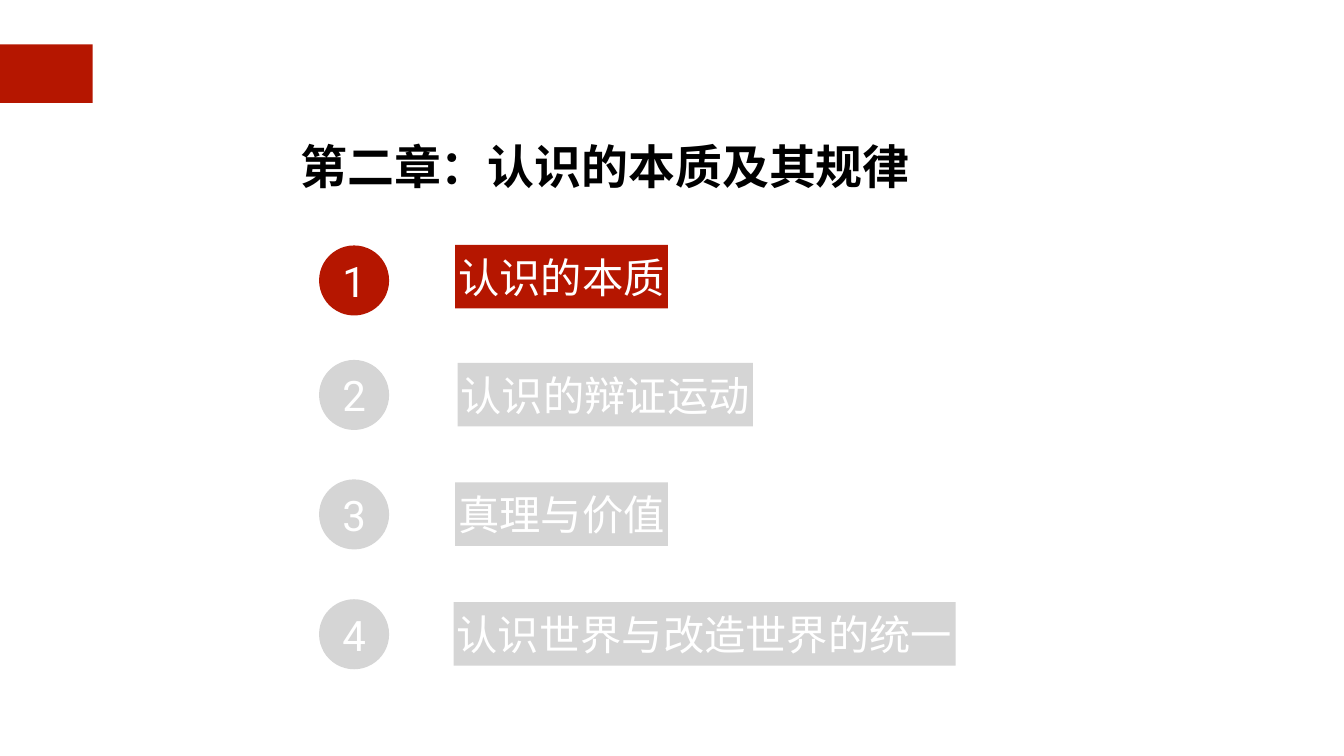
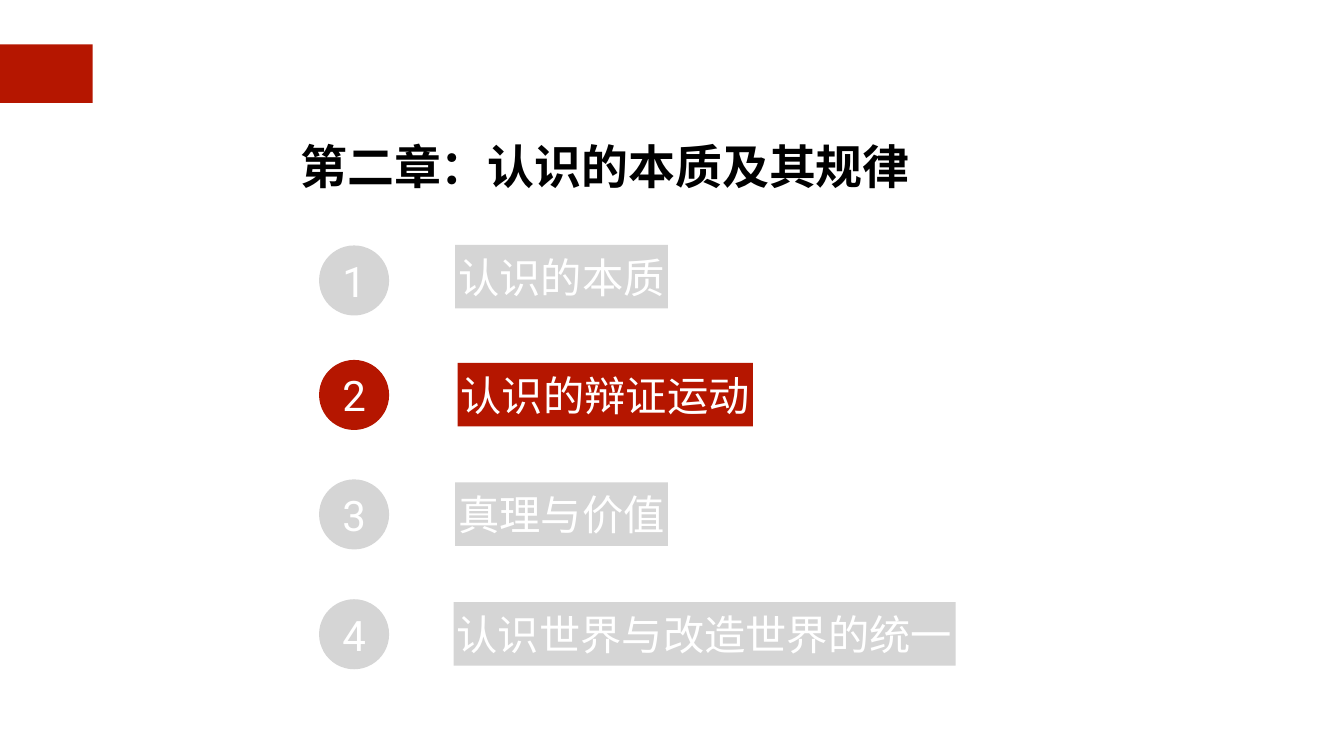
from pptx import Presentation
from pptx.dml.color import RGBColor
from pptx.enum.shapes import MSO_SHAPE
from pptx.enum.text import MSO_ANCHOR, MSO_AUTO_SIZE, PP_ALIGN
from pptx.oxml.ns import qn
from pptx.util import Cm, Pt
from lxml.etree import SubElement

# Content
TITLE = "第二章：认识的本质及其规律"
# Each section: text, circle top, label left, label top, label width (cm)
SECTIONS = [
    ("认识的本质", 12.37, 22.94, 12.34, 10.72),
    ("认识的辩证运动", 18.14, 23.06, 18.29, 14.88),
    ("真理与价值", 24.16, 22.94, 24.31, 10.72),
    ("认识世界与改造世界的统一", 30.2, 22.86, 30.35, 25.3),
]
ACTIVE_SECTIONS = [1, 2]  # one slide for each

# Shared style
RED, GREY, WHITE, BLACK = "B51600", "D5D5D5", "FFFFFF", "000000"
TITLE_FONT, BODY_FONT = "Arial", "Roboto"
CIRCLE_LEFT, CIRCLE_SIZE, LABEL_HEIGHT = 16.08, 3.53, 3.2
INSET = 0.15


def color(value):
    return RGBColor.from_string(value)


def add_block(page, kind, left, top, width, height, fill):
    block = page.shapes.add_shape(kind, Cm(left), Cm(top), Cm(width), Cm(height))
    block.shadow.inherit = False
    block.fill.solid()
    block.fill.fore_color.rgb = color(fill)
    block.line.fill.background()
    return block


def write(box, text, size, font, ink, inset, align, fitted=True, bold=False):
    frame = box.text_frame
    frame.margin_left = frame.margin_right = Cm(inset)
    frame.margin_top = frame.margin_bottom = Cm(inset)
    frame.vertical_anchor = MSO_ANCHOR.MIDDLE
    frame.word_wrap = not fitted
    frame.auto_size = MSO_AUTO_SIZE.SHAPE_TO_FIT_TEXT if fitted else MSO_AUTO_SIZE.NONE
    para = frame.paragraphs[0]
    para.alignment = align
    span = para.add_run()
    span.text = text
    span.font.size = Pt(size)
    span.font.bold = bold
    span.font.color.rgb = color(ink)
    span.font.name = font
    # Chinese characters use the same font name
    SubElement(span.font._element, qn("a:ea")).set("typeface", font)
    return para


def add_frame(page):
    # Red band at the left edge and chapter title
    add_block(page, MSO_SHAPE.RECTANGLE, -0.08, 2.24, 4.75, 2.95, RED)
    box = page.shapes.add_textbox(Cm(14.99), Cm(5.84), Cm(31.04), Cm(3.61))
    para = write(box, TITLE, 67, TITLE_FONT, BLACK, INSET, PP_ALIGN.LEFT, bold=True)
    para.line_spacing = 1.5


def add_section(page, number, section, fill):
    text, circle_top, label_left, label_top, label_width = section
    # Numbered circle
    circle = add_block(page, MSO_SHAPE.OVAL, CIRCLE_LEFT, circle_top,
                       CIRCLE_SIZE, CIRCLE_SIZE, fill)
    write(circle, str(number), 60, BODY_FONT, WHITE, 0, PP_ALIGN.CENTER, fitted=False)
    # Section label
    label = add_block(page, MSO_SHAPE.RECTANGLE, label_left, label_top,
                      label_width, LABEL_HEIGHT, fill)
    write(label, text, 59, BODY_FONT, WHITE, INSET, PP_ALIGN.CENTER)


def main():
    deck = Presentation()
    deck.slide_width, deck.slide_height = Cm(67.73), Cm(38.1)
    for active in ACTIVE_SECTIONS:
        page = deck.slides.add_slide(deck.slide_layouts[6])
        add_frame(page)
        for number, section in enumerate(SECTIONS, 1):
            add_section(page, number, section, RED if number == active else GREY)
    deck.save("out.pptx")


if __name__ == "__main__":
    main()
